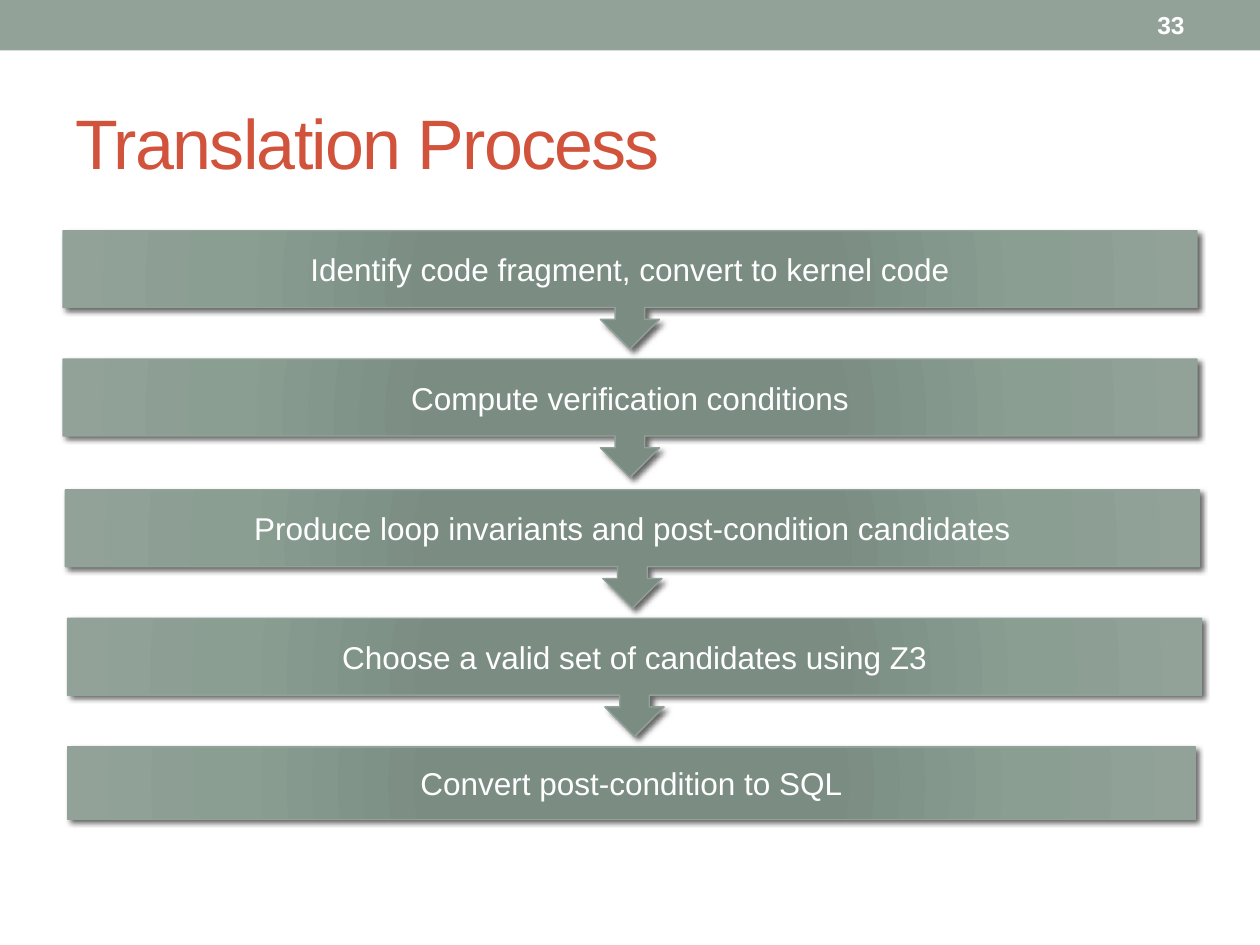
"""Build the Translation Process slide: a chain of steps joined by arrow callouts."""
from lxml.etree import SubElement
from pptx import Presentation
from pptx.dml.color import RGBColor
from pptx.enum.shapes import MSO_SHAPE
from pptx.enum.text import MSO_ANCHOR, PP_ALIGN
from pptx.oxml import parse_xml
from pptx.oxml.ns import nsdecls, qn
from pptx.util import Pt

TITLE = "Translation Process"
PAGE = "33"
STEPS = [
    ("Identify code fragment, convert to kernel code", 36, 131.8),
    ("Compute verification conditions", 36, 205.2),
    ("Produce loop invariants and post-condition candidates", 37.4, 279.9),
    ("Choose a valid set of candidates using Z3", 38.6, 353.3),
    ("Convert post-condition to SQL", 38.6, 426.8),
]
CALLOUT_SIZE = (648, 67.6)
LAST_SIZE = (644.4, 41.4)
STOPS = [(0, "7B8E82"), (34, "7B8D83"), (70, "8A9E92"), (100, "93A299")]

SAGE = RGBColor(0x93, 0xA2, 0x99)
BRICK = RGBColor(0xD2, 0x53, 0x3C)
WHITE = RGBColor(0xFF, 0xFF, 0xFF)


def write(s, text, size, color, align, bold=False):
    tf = s.text_frame
    tf.text = text
    tf.word_wrap = True
    tf.vertical_anchor = MSO_ANCHOR.MIDDLE
    p = tf.paragraphs[0]
    p.alignment = align
    font = p.runs[0].font
    font.name, font.size, font.bold = "Arial", Pt(size), bold
    font.color.rgb = color
    return p.runs[0]


def add_radial_fill(s):
    stops = "".join(
        f'<a:gs pos="{pos * 1000}"><a:srgbClr val="{color}"/></a:gs>'
        for pos, color in STOPS)
    grad = parse_xml(
        f'<a:gradFill {nsdecls("a")} rotWithShape="1"><a:gsLst>{stops}</a:gsLst>'
        '<a:path path="circle"><a:fillToRect l="100000" t="100000" '
        'r="100000" b="100000"/></a:path></a:gradFill>')
    s._element.spPr.find(qn("a:prstGeom")).addnext(grad)


def add_shadow(s):
    s.shadow.inherit = False
    effects = s._element.spPr.find(qn("a:effectLst"))
    shadow = SubElement(effects, qn("a:outerShdw"), blurRad=str(Pt(3)),
                        dist=str(Pt(2)), dir="2700000", algn="tl", rotWithShape="0")
    color = SubElement(shadow, qn("a:srgbClr"), val="000000")
    SubElement(color, qn("a:alpha"), val="60000")


def add_step(slide, text, left, top, last):
    kind = MSO_SHAPE.RECTANGLE if last else MSO_SHAPE.DOWN_ARROW_CALLOUT
    width, height = LAST_SIZE if last else CALLOUT_SIZE
    s = slide.shapes.add_shape(kind, Pt(left), Pt(top), Pt(width), Pt(height))
    s.line.color.rgb = SAGE
    s.line.width = Pt(0.75)
    add_radial_fill(s)
    add_shadow(s)
    write(s, text, 18, WHITE, PP_ALIGN.CENTER)


def main():
    prs = Presentation()
    prs.slide_width, prs.slide_height = Pt(720), Pt(540)
    slide = prs.slides.add_slide(prs.slide_layouts[5])

    band = slide.shapes.add_shape(MSO_SHAPE.RECTANGLE, 0, 0, Pt(720), Pt(28.8))
    band.fill.solid()
    band.fill.fore_color.rgb = SAGE
    band.line.fill.background()
    band.shadow.inherit = False

    title = slide.shapes.title
    title.left, title.top, title.width, title.height = Pt(36), Pt(41.8), Pt(648), Pt(77.8)
    r = write(title, TITLE, 40, BRICK, PP_ALIGN.LEFT)
    r.font._element.set("spc", "-100")

    for i, (text, left, top) in enumerate(STEPS, 1):
        add_step(slide, text, left, top, last=i == len(STEPS))

    number = slide.shapes.add_textbox(Pt(599.8), Pt(1.4), Pt(84.2), Pt(25.9))
    write(number, PAGE, 14, WHITE, PP_ALIGN.RIGHT, bold=True)

    prs.save("out.pptx")


if __name__ == "__main__":
    main()
